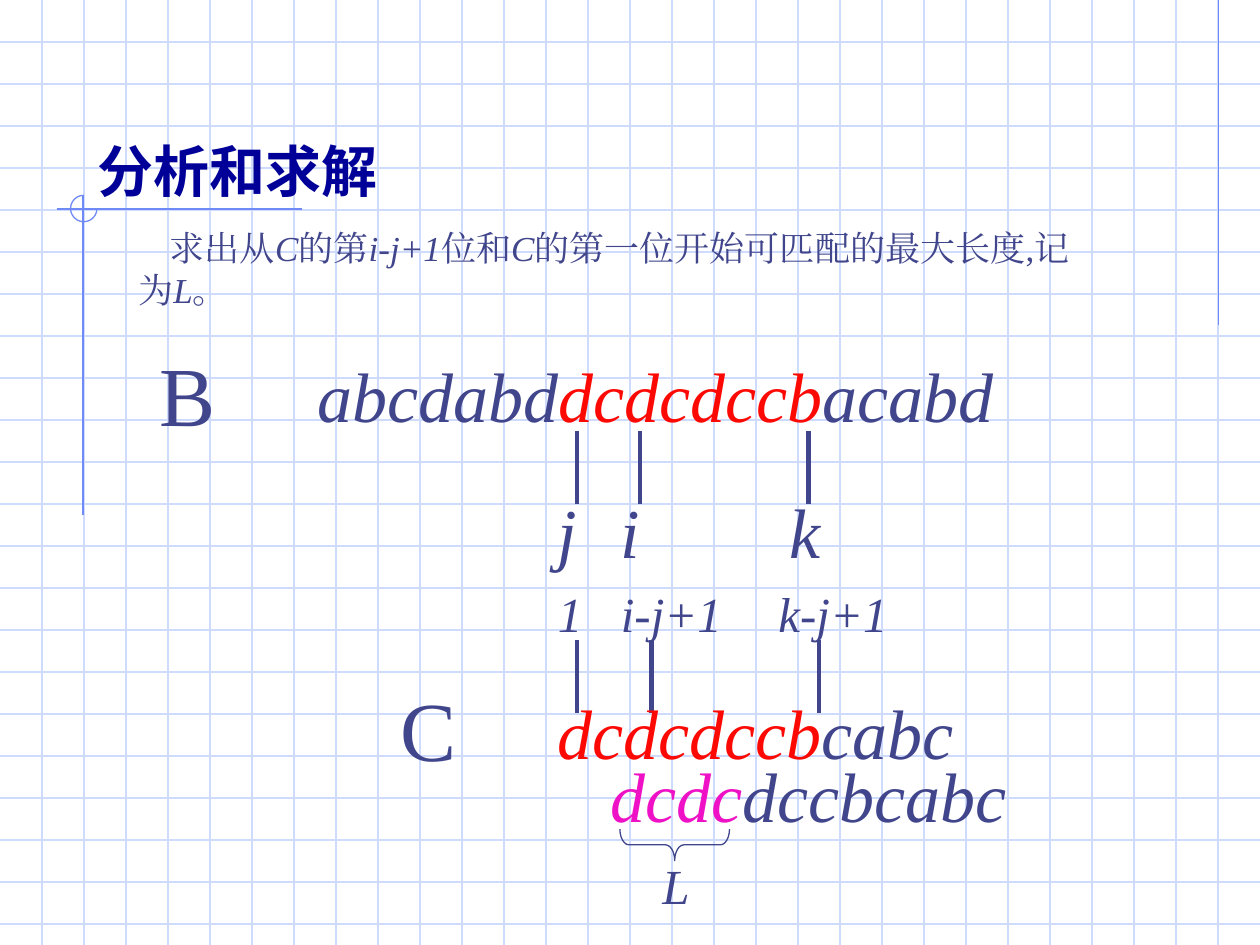
"""Build the slide on matching string C against string B."""
from pptx import Presentation
from pptx import util as u
from pptx.dml.color import RGBColor
from pptx.enum import shapes, text
from pptx.oxml import ns
from lxml import etree

PALE = RGBColor(0xCF, 0xDB, 0xFD)
BLUE = RGBColor(0x6F, 0x89, 0xF7)
NAVY = RGBColor(0x00, 0x00, 0x99)
INK = RGBColor(0x40, 0x45, 0x8C)
RED = RGBColor(0xFD, 0x09, 0x03)
PINK = RGBColor(0xEF, 0x11, 0xC5)
SERIF, SANS = "Times New Roman", "Cabin"

WIDE, HIGH, STEP = 10, 7.5, 1 / 3
TITLE = "分析和求解"
RULES = [(9.67, 0, 9.67, 2.58), (0.45, 1.66, 2.4, 1.66), (0.66, 1.55, 0.66, 4.09)]
BODY = [("求出从", False), ("C", True), ("的第", False), ("i-j+1", True),
        ("位和", False), ("C", True), ("的第一位开始可匹配的最大长度,记为".replace(",", ","), False),
        ("L", True), ("。", False)]
NAMES = [("B", 1.17, 2.67), ("C", 3.08, 5.33)]
WORDS = [
    (2.42, 2.75, 5.75, [("abcdabd", INK), ("dcdcdccb", RED), ("acabd", INK)]),
    (4.33, 5.42, 4.67, [("dcdcdccb", RED), ("cabc", INK)]),
    (4.75, 5.92, 4.67, [("dcdc", PINK), ("dccbcabc", INK)]),
]
MARKS = [("j", 4.33, 3.83, 0.5, 40), ("i", 4.83, 3.83, 0.5, 40),
         ("k", 6.17, 3.83, 0.5, 40), ("1", 4.33, 4.58, 0.5, 28),
         ("i-j+1", 4.83, 4.58, 1.83, 28), ("k-j+1", 6.08, 4.58, 1.25, 28),
         ("L", 5.16, 6.74, 0.5, 28)]
TICKS = [(3.42, (4.58, 5.08, 6.42)), (5.08, (4.58, 5.17, 6.5))]
TICK = 0.58

deck = Presentation()
deck.slide_width, deck.slide_height = u.Inches(WIDE), u.Inches(HIGH)
slide = deck.slides.add_slide(deck.slide_layouts[5])
items = slide.shapes


def line(left, top, right, end, color, width=0.75):
    rule = items.add_connector(shapes.MSO_CONNECTOR.STRAIGHT,
                               *map(u.Inches, (left, top, right, end)))
    rule.line.color.rgb = color
    rule.line.width = u.Pt(width)
    etree.SubElement(rule._element.spPr, ns.qn("a:effectLst"))


def outline(kind, box, color, *turns):
    shape = items.add_shape(kind, *map(u.Inches, box))
    shape.shadow.inherit = False
    shape.fill.background()
    shape.line.color.rgb = color
    shape.line.width = u.Pt(0.75)
    for spot, turn in enumerate(turns):
        shape.adjustments[spot] = turn
    return shape


def write(runs, box, size, font=SERIF, bold=False, anchor="TOP", indent=0, shape=None):
    """Fill a box with runs given as (words, color, italic)."""
    shape = shape or items.add_textbox(0, 0, 0, 0)
    shape.left, shape.top, shape.width, shape.height = map(u.Inches, box)
    frame = shape.text_frame
    frame.word_wrap = True
    frame.auto_size = text.MSO_AUTO_SIZE.NONE
    frame.vertical_anchor = text.MSO_ANCHOR[anchor]
    para = frame.paragraphs[0]
    para.alignment = text.PP_ALIGN.LEFT
    para.line_spacing = u.Pt(size * 1.2)
    if indent:
        para._p.get_or_add_pPr().set("indent", str(u.Inches(indent)))
    for words, color, italic in runs:
        run = para.add_run()
        run.text = words
        face = run.font
        face.size, face.name = u.Pt(size), font
        face.bold, face.italic = bold, italic
        face.color.rgb = color
        east = etree.SubElement(run._r.rPr, ns.qn("a:ea"))
        east.set("typeface", font)


for row in range(1, int(HIGH / STEP) + 1):
    line(0, row * STEP, WIDE, row * STEP, PALE)
for col in range(1, round(WIDE / STEP)):
    line(col * STEP, 0, col * STEP, HIGH, PALE)
for ends in RULES:
    line(*ends, BLUE)
outline(shapes.MSO_SHAPE.ARC, (0.56, 1.55, 0.21, 0.21), BLUE, 0, 162)

title = items.title
items._spTree.append(title._element)
write([(TITLE, NAVY, False)], (0.67, 0.42, 8.61, 1.25), 32, font=SANS,
      bold=True, anchor="BOTTOM", shape=title)
write([(words, INK, slant) for words, slant in BODY], (1, 1.75, 7.75, 0.77), 20, indent=0.25)

brace = outline(shapes.MSO_SHAPE.LEFT_BRACE, (5.23, 6.27, 0.25, 0.87), INK, 0.29, 0.5)
brace.rotation = 270
for top, places in TICKS:
    for left in places:
        line(left, top, left, top + TICK, INK, 2.75)
for name, left, top in NAMES:
    write([(name, INK, False)], (left, top, 1.08, 0.9), 48)
for left, top, width, parts in WORDS:
    write([(part, color, True) for part, color in parts], (left, top, width, 0.77), 40)
for mark, left, top, width, size in MARKS:
    write([(mark, INK, True)], (left, top, width, size / 60 + 0.1), size)

deck.save("out.pptx")
